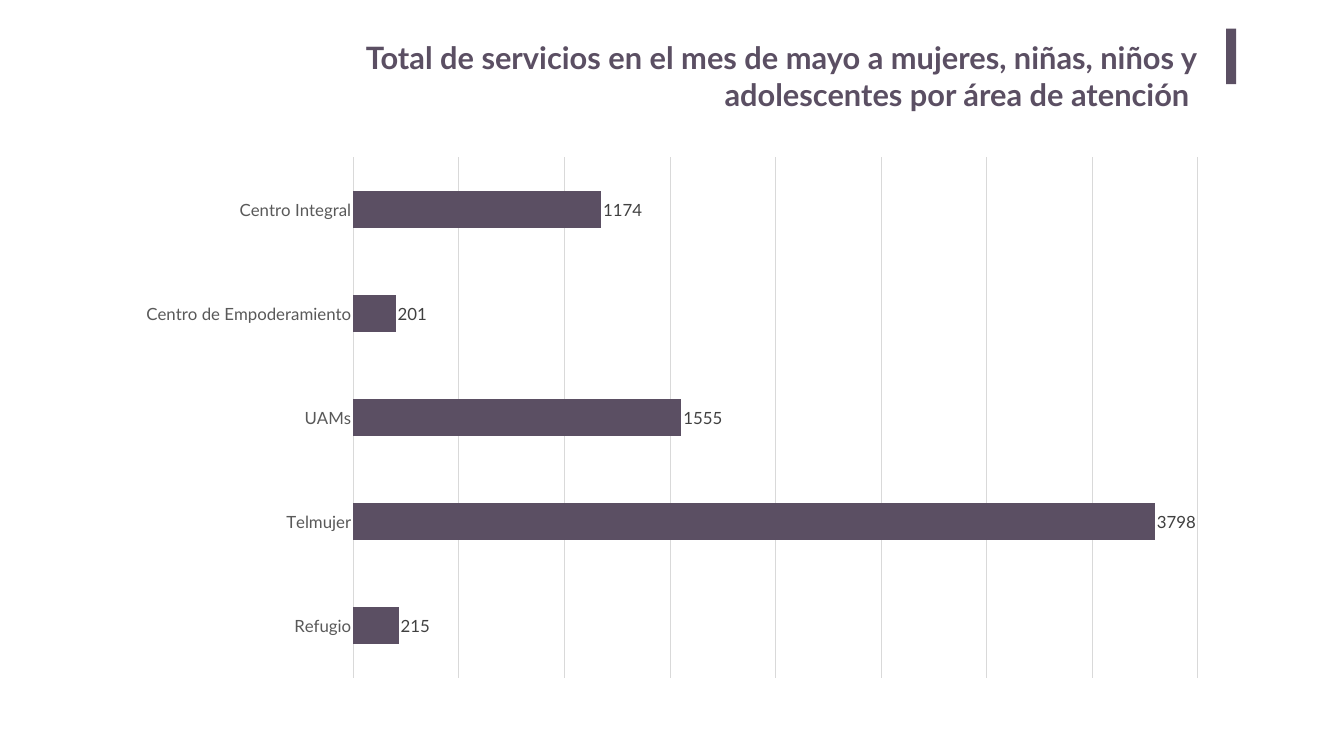
from pptx import Presentation
from pptx.chart.data import CategoryChartData
from pptx.dml.color import RGBColor
from pptx.enum.chart import XL_CHART_TYPE, XL_LABEL_POSITION, XL_TICK_MARK
from pptx.enum.shapes import MSO_SHAPE
from pptx.enum.text import MSO_ANCHOR, MSO_AUTO_SIZE, PP_ALIGN
from pptx.util import Inches, Pt

TITLE = ("Total de servicios en el mes de mayo a mujeres, niñas, niños y "
         "adolescentes por área de atención ")
AREAS = {
    "Centro Integral": 1174,
    "Centro de Empoderamiento": 201,
    "UAMs": 1555,
    "Telmujer": 3798,
    "Refugio": 215,
}
HUES = {"plum": "5B4F63", "grid": "D9D9D9", "axis": "595959",
        "label": "404040", "black": "000000"}
FONT = "Lato"


def hue(name):
    return RGBColor.from_string(HUES[name])


def place(*box):
    return [Inches(n) for n in box]


def style(font, size, tone, face=FONT):
    font.name = face
    font.size = Pt(size)
    font.color.rgb = hue(tone)


def rule(line):
    line.color.rgb = hue("grid")
    line.width = Pt(0.75)


def add_title(slide):
    title = slide.shapes.title
    title.left, title.top, title.width, title.height = place(6.56, 0.67, 17.4, 2.04)
    frame = title.text_frame
    frame.text = TITLE
    frame.word_wrap = True
    frame.auto_size = MSO_AUTO_SIZE.NONE
    frame.vertical_anchor = MSO_ANCHOR.TOP
    frame.margin_left = frame.margin_right = Inches(0.2)
    frame.margin_top = frame.margin_bottom = Inches(0.1)
    para = frame.paragraphs[0]
    para.alignment = PP_ALIGN.RIGHT
    para.line_spacing = 1.0
    para.space_before = Pt(0)
    font = para.runs[0].font
    style(font, 44, "plum")
    font.bold = True


def add_accent(slide):
    accent = slide.shapes.add_shape(MSO_SHAPE.RECTANGLE, *place(24.33, 0.57, 0.2, 1.1))
    accent.shadow.inherit = False
    accent.fill.solid()
    accent.fill.fore_color.rgb = hue("plum")
    accent.line.fill.background()


def add_bars(slide):
    data = CategoryChartData()
    data.categories = list(AREAS)
    data.add_series("Series 1", list(AREAS.values()))
    chart = slide.shapes.add_chart(
        XL_CHART_TYPE.BAR_CLUSTERED, *place(2.47, 2.91, 21.73, 10.75), data).chart
    style(chart.font, 10, "black", "Arial")
    chart.has_title = False
    chart.has_legend = False

    names = chart.category_axis
    names.reverse_order = True
    names.has_major_gridlines = False
    names.major_tick_mark = XL_TICK_MARK.NONE
    names.minor_tick_mark = XL_TICK_MARK.NONE
    style(names.tick_labels.font, 24, "axis")
    rule(names.format.line)

    scale = chart.value_axis
    scale.minimum_scale, scale.maximum_scale, scale.major_unit = 0, 4000, 500
    scale.has_major_gridlines = True
    rule(scale.major_gridlines.format.line)
    scale.visible = False

    plot = chart.plots[0]
    plot.gap_width = 182
    plot.vary_by_categories = False
    bars = plot.series[0]
    bars.format.fill.solid()
    bars.format.fill.fore_color.rgb = hue("plum")
    labels = bars.data_labels
    labels.show_value = True
    labels.position = XL_LABEL_POSITION.OUTSIDE_END
    style(labels.font, 24, "label")


def main():
    deck = Presentation()
    deck.slide_width, deck.slide_height = place(26.67, 15)
    slide = deck.slides.add_slide(deck.slide_layouts[5])
    add_accent(slide)
    add_title(slide)
    add_bars(slide)
    deck.save("out.pptx")


if __name__ == "__main__":
    main()
